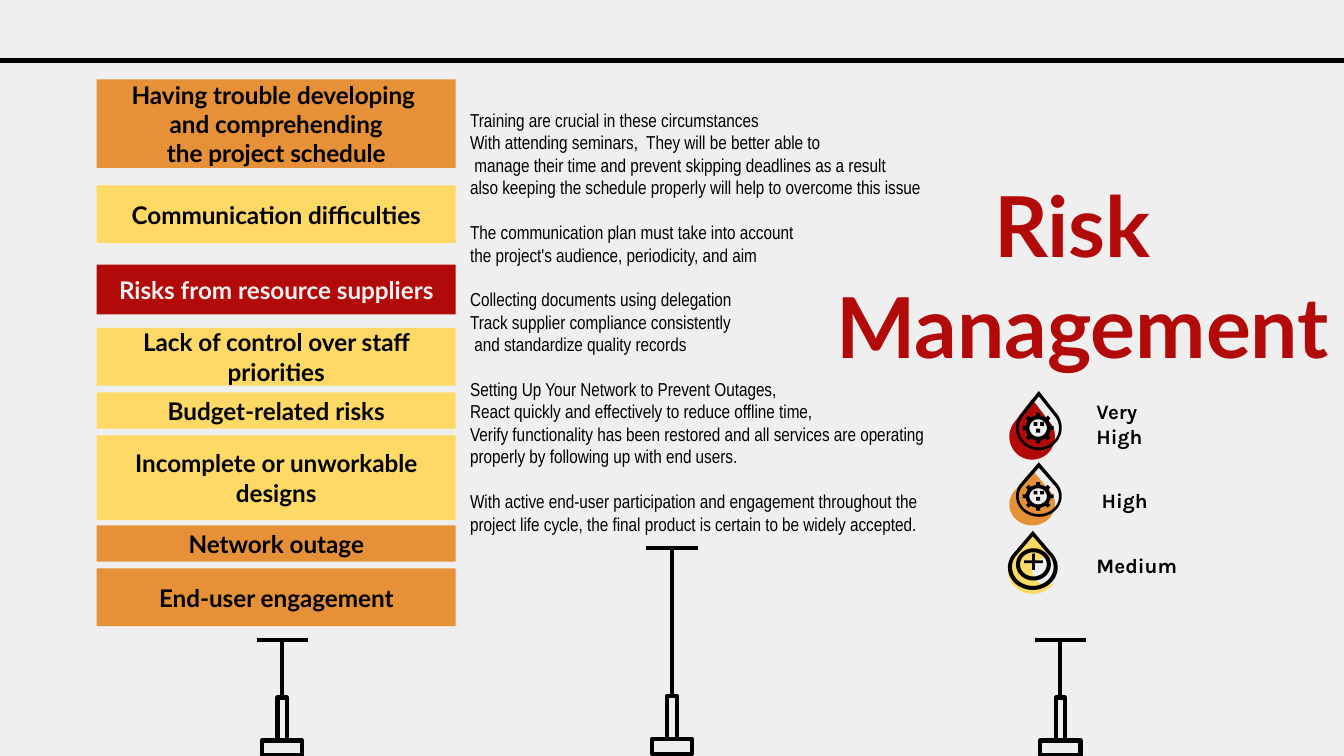
from math import cos, pi, radians, sin

from lxml import etree
from pptx import Presentation
from pptx.dml.color import RGBColor
from pptx.enum.shapes import MSO_CONNECTOR, MSO_SHAPE
from pptx.enum.text import MSO_ANCHOR, PP_ALIGN
from pptx.oxml.ns import qn
from pptx.util import Inches, Pt

STRAIGHT = MSO_CONNECTOR.STRAIGHT
RECTANGLE, OVAL = MSO_SHAPE.RECTANGLE, MSO_SHAPE.OVAL
TOP, MIDDLE = MSO_ANCHOR.TOP, MSO_ANCHOR.MIDDLE
LEFT, CENTER = PP_ALIGN.LEFT, PP_ALIGN.CENTER

BLACK = RGBColor(0x00, 0x00, 0x00)
PALE = RGBColor(0xEF, 0xEF, 0xEF)
RED = RGBColor(0xB2, 0x09, 0x09)
ORANGE = RGBColor(0xE6, 0x91, 0x38)
YELLOW = RGBColor(0xFF, 0xD9, 0x66)

RISK_FONT = {"name": "Lato", "size": Pt(13), "bold": True}
TITLE_FONT = {"name": "Lato", "size": Pt(45), "bold": True}
LEGEND_FONT = {"name": "Karla", "size": Pt(11), "bold": True}
BODY_FONT = {"name": "Arial Narrow", "size": Pt(10), "bold": False}

RISKS = [
    (0.59, 0.66, ORANGE, ["Having trouble developing ", " and comprehending ", "the project schedule"]),
    (1.38, 0.43, YELLOW, ["Communication difficulties"]),
    (1.97, 0.37, RED, ["Risks from resource suppliers"]),
    (2.44, 0.43, YELLOW, ["Lack of control over staff priorities"]),
    (2.92, 0.27, YELLOW, ["Budget-related risks"]),
    (3.24, 0.63, YELLOW, ["Incomplete or unworkable designs"]),
    (3.91, 0.27, ORANGE, ["Network outage"]),
    (4.23, 0.43, ORANGE, ["End-user engagement"]),
]

RESPONSES = [
    [
        "Training are crucial in these circumstances",
        "With attending seminars,  They will be better able to",
        " manage their time and prevent skipping deadlines as a result",
        "also keeping the schedule properly will help to overcome this issue",
    ],
    [
        "The communication plan must take into account",
        "the project's audience, periodicity, and aim",
    ],
    [
        "Collecting documents using delegation",
        "Track supplier compliance consistently",
        " and standardize quality records",
    ],
    [
        "Setting Up Your Network to Prevent Outages,",
        "React quickly and effectively to reduce offline time,",
        "Verify functionality has been restored and all services are operating",
        "properly by following up with end users.",
    ],
    [
        "With active end-user participation and engagement throughout the",
        "project life cycle, the final product is certain to be widely accepted.",
    ],
]


def write_text(shape, groups, font, color, alignment=LEFT, anchor=TOP):
    frame = shape.text_frame
    settings = {"word_wrap": True, "vertical_anchor": anchor}
    for side in ("left", "top", "right", "bottom"):
        settings[f"margin_{side}"] = Inches(0.1)
    for name, value in settings.items():
        setattr(frame, name, value)
    paragraph = None
    for group in groups:
        for index, text in enumerate(group):
            starts_group = paragraph is not None and index == 0
            paragraph = frame.paragraphs[0] if paragraph is None else frame.add_paragraph()
            paragraph.alignment = alignment
            if starts_group:
                paragraph.space_before = Pt(12)
            run = paragraph.add_run()
            run.text = text
            for name, value in font.items():
                setattr(run.font, name, value)
            run.font.color.rgb = color


def add_text(slide, box, groups, font, color, **layout):
    shape = slide.shapes.add_textbox(*map(Inches, box))
    write_text(shape, groups, font, color, **layout)


def add_filled(slide, kind, box, color):
    shape = slide.shapes.add_shape(kind, *map(Inches, box))
    shape.shadow.inherit = False
    shape.fill.solid()
    shape.fill.fore_color.rgb = color
    shape.line.fill.background()
    return shape


def add_line(slide, *ends):
    line = slide.shapes.add_connector(STRAIGHT, *map(Inches, ends))
    line.line.color.rgb = BLACK
    line.line.width = Pt(2.25)
    etree.SubElement(line._element.spPr, qn("a:effectLst"))


def add_outline(slide, contours, color):
    builder = None
    for contour in contours:
        points = [(Inches(x), Inches(y)) for x, y in contour]
        if builder is None:
            builder = slide.shapes.build_freeform(*points[0])
        else:
            builder.move_to(*points[0])
        builder.add_line_segments(points[1:], close=True)
    shape = builder.convert_to_shape()
    shape.shadow.inherit = False
    shape.fill.solid()
    shape.fill.fore_color.rgb = color
    shape.line.fill.background()


def inset(box, side, top, bottom):
    left, upper, width, height = box
    return left + side, upper + top, width - 2 * side, height - top - bottom


def drop_points(box):
    left, top, width, height = box
    center_x, center_y = left + width / 2, top + 0.62 * height
    angles = [radians(degree) for degree in range(-43, 224, 6)]
    arc = [(center_x + width / 2 * cos(a), center_y + 0.38 * height * sin(a)) for a in angles]
    return [(center_x, top)] + arc


def oval_points(box):
    left, top, width, height = box
    angles = [radians(degree) for degree in range(0, 360, 10)]
    return [(left + width / 2 * (1 + cos(a)), top + height / 2 * (1 + sin(a))) for a in angles]


def gear_points(box):
    left, top, width, height = box
    points = []
    for tooth in range(8):
        angle = tooth * pi / 4
        for reach, offset in ((0.82, -0.13), (1, -0.13), (1, 0.13), (0.82, 0.13)):
            x = reach * cos(angle) - offset * sin(angle)
            y = reach * sin(angle) + offset * cos(angle)
            points.append((left + width / 2 * (1 + x), top + height / 2 * (1 + y)))
    return points


def add_drop(slide, fill_box, outline_box, color):
    add_outline(slide, [drop_points(fill_box)], color)
    inner = drop_points(inset(outline_box, 0.02, 0.04, 0.02))
    add_outline(slide, [drop_points(outline_box), inner[::-1]], BLACK)


def add_gear_icon(slide, box, color):
    left, top, width, height = box
    scale = height / 0.51

    def place(x, y, part_width, part_height):
        return left + x, top + y * scale, part_width, part_height * scale

    add_drop(slide, place(0, 0.06, 0.34, 0.45), place(0.05, 0, width - 0.05, 0.44), color)
    add_filled(slide, OVAL, place(0.14, 0.2, 0.16, 0.16), PALE)
    gear = place(0.1, 0.16, 0.23, 0.23)
    hole = oval_points(place(0.15, 0.21, 0.13, 0.13))
    add_outline(slide, [gear_points(gear), hole[::-1]], BLACK)
    for x, y in ((0.18, 0.23), (0.2, 0.28), (0.23, 0.23)):
        add_filled(slide, RECTANGLE, place(x, y, 0.03, 0.03), BLACK)


def add_plus_icon(slide, box, color):
    left, top, width, height = box
    add_outline(slide, [drop_points((left, top + 0.01, width, height - 0.01))], color)
    add_filled(slide, OVAL, (left + 0.18, top + 0.2, 0.22, 0.2), PALE)
    outline = (left, top, width, height - 0.03)
    ring = (left + 0.06, top + 0.13, 0.26, 0.24)
    for outer, inner in (
        (drop_points(outline), drop_points(inset(outline, 0.03, 0.04, 0.03))),
        (oval_points(ring), oval_points(inset(ring, 0.03, 0.03, 0.03))),
    ):
        add_outline(slide, [outer, inner[::-1]], BLACK)
    x, y = left + 0.19, top + 0.23
    corner = [(0.01, -0.06), (0.01, -0.01), (0.07, -0.01)]
    right = corner + [(a, -b) for a, b in corner[::-1]]
    plus = right + [(-a, b) for a, b in right[::-1]]
    add_outline(slide, [[(x + a, y + b) for a, b in plus]], BLACK)


def add_stand(slide, center, top, bottom):
    for width, lift, height in ((0.3, 0.11, 0.11), (0.07, 0.43, 0.32)):
        box = (center - width / 2, bottom - lift, width, height)
        part = slide.shapes.add_shape(RECTANGLE, *map(Inches, box))
        part.shadow.inherit = False
        part.fill.background()
        part.line.color.rgb = BLACK
        part.line.width = Pt(2.25)
    add_line(slide, center, top, center, bottom - 0.44)
    add_line(slide, center - 0.19, top, center + 0.19, top)


def add_risks(slide, left, width):
    for top, height, color, lines in RISKS:
        card = add_filled(slide, RECTANGLE, (left, top, width, height), color)
        text_color = PALE if color == RED else BLACK
        write_text(card, [lines], RISK_FONT, text_color, alignment=CENTER, anchor=MIDDLE)


def add_legend(slide, left):
    add_gear_icon(slide, (left + 0.01, 2.91, 0.39, 0.51), RED)
    add_gear_icon(slide, (left + 0.01, 3.44, 0.39, 0.47), ORANGE)
    add_plus_icon(slide, (left, 3.95, 0.37, 0.47), YELLOW)
    for top, width, height, label in (
        (2.87, 0.68, 0.57, "Very High"),
        (3.54, 0.68, 0.39, " High"),
        (4.02, 0.87, 0.39, "Medium"),
    ):
        add_text(slide, (left + 0.56, top, width, height), [[label]], LEGEND_FONT, BLACK)


def main():
    presentation = Presentation()
    presentation.slide_width = Inches(10)
    presentation.slide_height = presentation.slide_width * 9 // 16
    slide = presentation.slides.add_slide(presentation.slide_layouts[6])
    slide.background.fill.solid()
    slide.background.fill.fore_color.rgb = PALE
    add_line(slide, 0, 0.45, 10, 0.45)
    for center, top, bottom in ((5, 4.08, 5.61), (2.1, 4.76, 5.62), (7.89, 4.76, 5.62)):
        add_stand(slide, center, top, bottom)
    add_risks(slide, 0.72, 2.67)
    title_box = (5.2, 1.57, 5.71, 0.94)
    add_text(slide, title_box, [["Risk ", "Management"]], TITLE_FONT, RED, alignment=CENTER, anchor=MIDDLE)
    add_legend(slide, 7.5)
    add_text(slide, (3.4, 0.71, 4.03, 3.74), RESPONSES, BODY_FONT, BLACK)
    presentation.save("out.pptx")


if __name__ == "__main__":
    main()
